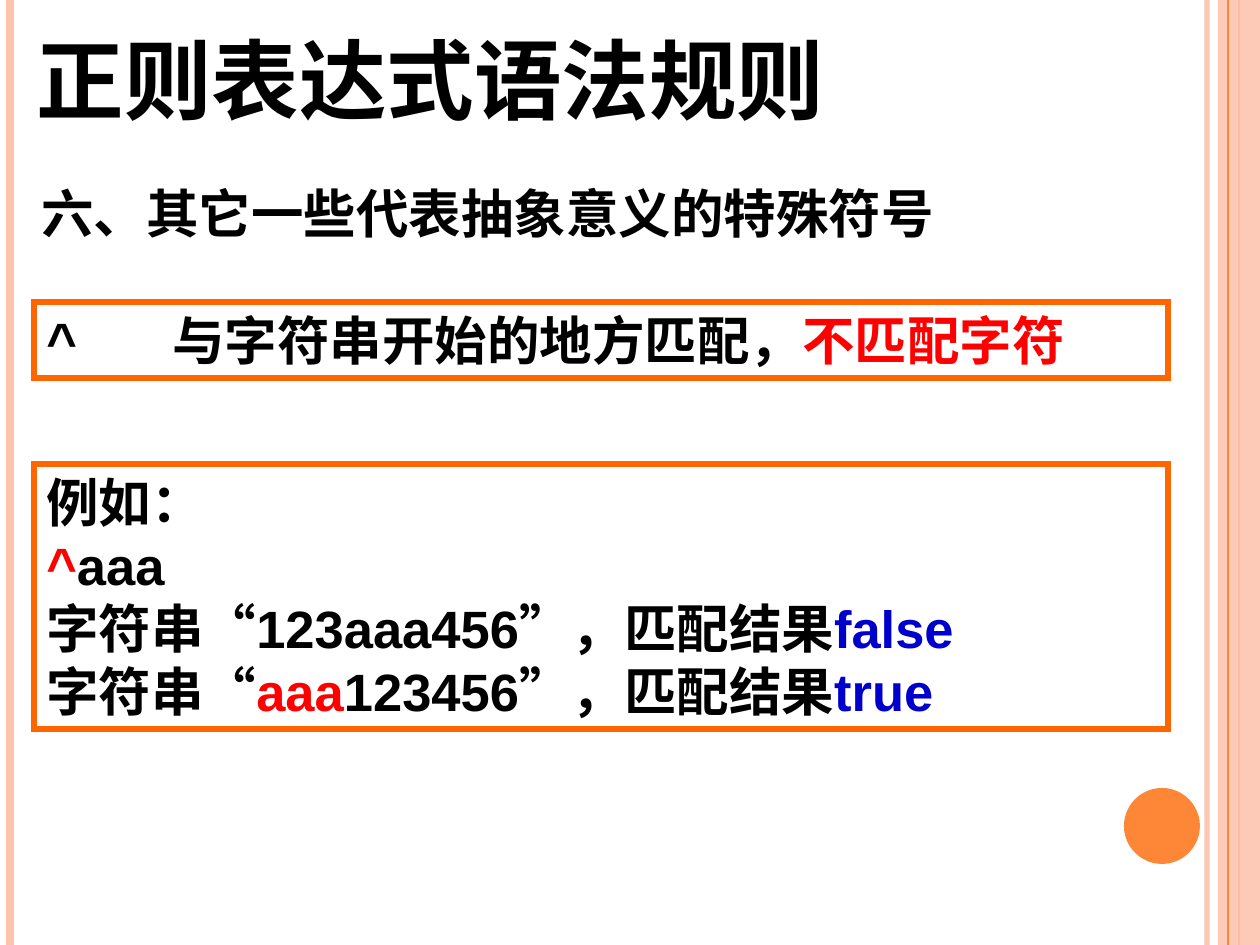
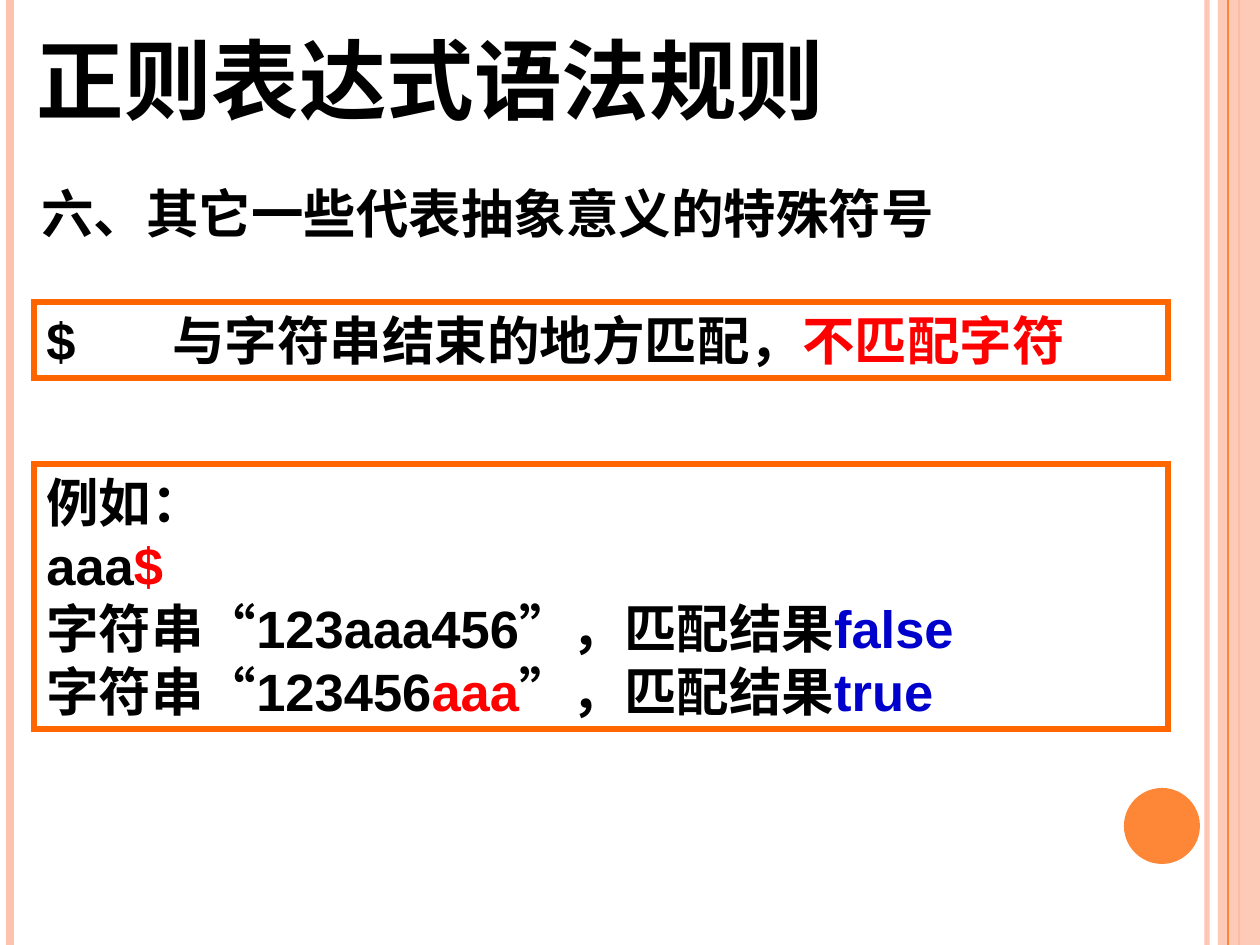
"""Build two slides on the regular expression anchors ^ and $."""
import pptx
import pptx.dml.color
import pptx.enum.lang
import pptx.enum.shapes
import pptx.enum.text
import pptx.oxml
import pptx.oxml.ns
import pptx.util

COLOURS = {"black": "000000", "red": "FF0000", "blue": "0000CC",
           "frame": "FF6600", "peach": "FEC3AE", "orange": "FE8637"}
HEADING_FONT, BODY_FONT = "TeX Gyre Schola", "Arial"
WIDTH, HEIGHT = 1260, 945
SCALE = 914400 / 126
TAB_STOPS = range(8)

TITLE = "正则表达式语法规则"
SECTION = "六、其它一些代表抽象意义的特殊符号"
ANCHORS = [
    {
        "rule": [("^\t与字符串开始的地方匹配，", "black"), ("不匹配字符", "red")],
        "pattern": [("^", "red"), ("aaa\t", "black")],
        "hit": [("字符串“", "black"), ("aaa", "red"),
                ("123456”，匹配结果", "black"), ("true", "blue")],
    },
    {
        "rule": [("$\t与字符串结束的地方匹配，", "black"), ("不匹配字符", "red")],
        "pattern": [("aaa", "black"), ("$\t", "red")],
        "hit": [("字符串“123456", "black"), ("aaa", "red"),
                ("”，匹配结果", "black"), ("true", "blue")],
    },
]
EXAMPLE = [("例如：", "black")]
MISS = [("字符串“123aaa456”，匹配结果", "black"), ("false", "blue")]

TITLE_AT = (24, 20, 840, 118)
SECTION_AT = (29, 175, 1131, 76)
RULE_AT = (34, 302, 1134, 76)
EXAMPLE_AT = (34, 464, 1134, 265)
BAND_AT = (1218, 0, 42, HEIGHT)
DISC_AT = (1124, 788, 76, 76)
STRIPES_BEHIND = [(1207, "peach", 3, 92), (10, "peach", 4.5, 100), (1239, "orange", 1.5, 100)]
STRIPES_IN_FRONT = [(1228, "orange", 0.75, 100)]


def px(length):
    return pptx.util.Emu(round(length * SCALE))


def box(at):
    return [px(length) for length in at]


def rgb(name):
    return pptx.dml.color.RGBColor.from_string(COLOURS[name])


def child(parent, tag, **attributes):
    element = pptx.oxml.parse_xml(f"<{tag} {pptx.oxml.ns.nsdecls('a')}/>")
    for key, value in attributes.items():
        element.set(key, str(value))
    parent.append(element)
    return element


def set_alpha(owner, percent):
    for colour in owner.iter(pptx.oxml.ns.qn("a:srgbClr")):
        child(colour, "a:alpha", val=percent * 1000)


def write(shape, lines, font_name, size):
    frame = shape.text_frame
    frame.word_wrap = True
    frame.auto_size = pptx.enum.text.MSO_AUTO_SIZE.SHAPE_TO_FIT_TEXT
    frame.vertical_anchor = pptx.enum.text.MSO_ANCHOR.TOP
    for number, runs in enumerate(lines):
        paragraph = frame.add_paragraph() if number else frame.paragraphs[0]
        paragraph.alignment = pptx.enum.text.PP_ALIGN.LEFT
        tabs = child(paragraph._p.get_or_add_pPr(), "a:tabLst")
        for inch in TAB_STOPS:
            child(tabs, "a:tab", pos=pptx.util.Inches(inch), algn="l")
        font = paragraph.font
        font.name, font.size, font.bold = font_name, pptx.util.Pt(size), True
        font.language_id = pptx.enum.lang.MSO_LANGUAGE_ID.SIMPLIFIED_CHINESE
        for text, colour in runs:
            run = paragraph.add_run()
            run.text = text
            run.font.color.rgb = rgb(colour)


def add_stripes(slide, stripes):
    for x, colour, weight, opacity in stripes:
        stripe = slide.shapes.add_connector(
            pptx.enum.shapes.MSO_CONNECTOR.STRAIGHT, px(x), 0, px(x), px(HEIGHT))
        stripe.line.color.rgb = rgb(colour)
        stripe.line.width = pptx.util.Pt(weight)
        properties = stripe._element.spPr
        if opacity < 100:
            set_alpha(properties, opacity)
        child(properties, "a:effectLst")


def add_solid(slide, kind, at, colour):
    solid = slide.shapes.add_shape(kind, *box(at))
    solid.shadow.inherit = False
    solid.fill.solid()
    solid.fill.fore_color.rgb = rgb(colour)
    solid.line.fill.background()
    return solid


def add_framed(slide, at, lines):
    framed = slide.shapes.add_shape(pptx.enum.shapes.MSO_SHAPE.RECTANGLE, *box(at))
    framed.shadow.inherit = False
    framed.fill.background()
    framed.line.color.rgb = rgb("frame")
    framed.line.width = pptx.util.Pt(3)
    child(framed._element.spPr.get_or_add_ln(), "a:miter", lim=800000)
    write(framed, lines, BODY_FONT, 30)


def add_backdrop(slide):
    add_stripes(slide, STRIPES_BEHIND)
    band = add_solid(slide, pptx.enum.shapes.MSO_SHAPE.RECTANGLE, BAND_AT, "peach")
    set_alpha(band._element.spPr, 87)
    add_stripes(slide, STRIPES_IN_FRONT)
    add_solid(slide, pptx.enum.shapes.MSO_SHAPE.OVAL, DISC_AT, "orange")


def add_anchor_slide(deck, anchor):
    slide = deck.slides.add_slide(deck.slide_layouts[5])
    add_backdrop(slide)
    title = slide.shapes.title
    title.left, title.top, title.width, title.height = box(TITLE_AT)
    write(title, [[(TITLE, "black")]], HEADING_FONT, 50)
    section = slide.shapes.add_textbox(*box(SECTION_AT))
    write(section, [[(SECTION, "black")]], HEADING_FONT, 30)
    add_framed(slide, RULE_AT, [anchor["rule"]])
    add_framed(slide, EXAMPLE_AT, [EXAMPLE, anchor["pattern"], MISS, anchor["hit"]])


def main():
    deck = pptx.Presentation()
    deck.slide_width, deck.slide_height = px(WIDTH), px(HEIGHT)
    for anchor in ANCHORS:
        add_anchor_slide(deck, anchor)
    deck.save("out.pptx")


if __name__ == "__main__":
    main()
